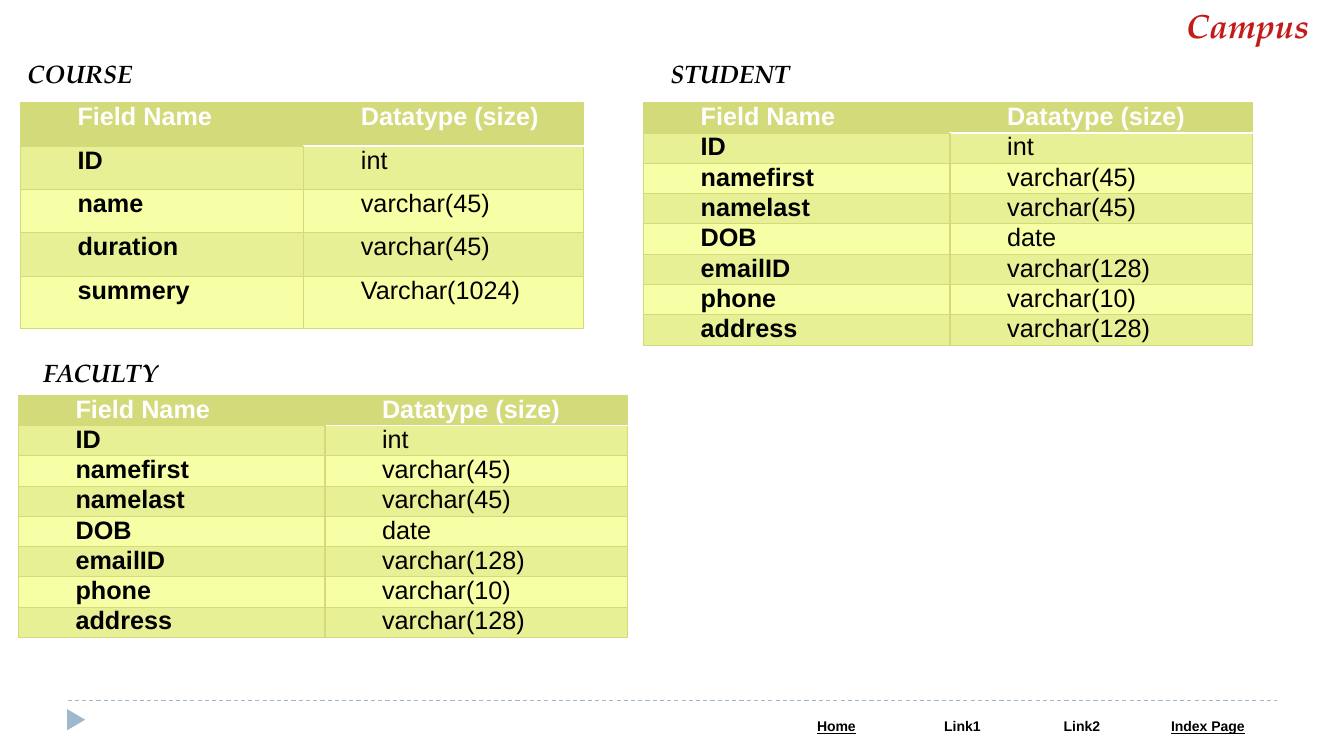
from lxml.etree import SubElement
from pptx import Presentation
from pptx.dml.color import RGBColor
from pptx.enum.dml import MSO_LINE_DASH_STYLE as Dash
from pptx.enum.shapes import MSO_CONNECTOR as Connector, MSO_SHAPE as Shape
from pptx.enum.text import MSO_AUTO_SIZE as AutoSize, PP_ALIGN as Align
from pptx.oxml.ns import qn
from pptx.util import Inches, Pt

OLIVE, SHADED, PALE = "D2DA7A", "E7F094", "F6FFA6"
WHITE, BLACK, RED, BLUE = "FFFFFF", "000000", "C41A1A", "9FB8CD"
SERIF, SANS = "TeX Gyre Pagella", "Arial"
HEADER = ("Field Name", "Datatype (size)")
COURSE = [("ID", "int"), ("name", "varchar(45)"), ("duration", "varchar(45)"),
          ("summery", "Varchar(1024)")]
PERSON = [("ID", "int"), ("namefirst", "varchar(45)"), ("namelast", "varchar(45)"),
          ("DOB", "date"), ("emailID", "varchar(128)"), ("phone", "varchar(10)"),
          ("address", "varchar(128)")]
PERSON_WIDTHS, PERSON_HEIGHTS = (3.04, 3), [0.3] * 8
LINKS = [("Home", 1.25, True), ("Link1", 1.25, False),
         ("Link2", 1.12, False), ("Index Page", 1.38, True)]


def color(value):
    return RGBColor.from_string(value)


def add_run(paragraph, words, size, face, ink, bold=True, italic=False, underline=False):
    run = paragraph.add_run()
    run.text = words
    font = run.font
    font.size, font.name = Pt(size), face
    font.bold, font.italic, font.underline = bold, italic, underline
    font.color.rgb = color(ink)


def add_heading(slide, words, left, top, width, height, size=18, ink=BLACK,
                align=Align.LEFT, wrap=False):
    heading = slide.shapes.add_textbox(Inches(left), Inches(top), Inches(width), Inches(height))
    frame = heading.text_frame
    frame.word_wrap = wrap
    frame.auto_size = AutoSize.SHAPE_TO_FIT_TEXT
    frame.paragraphs[0].alignment = align
    add_run(frame.paragraphs[0], words, size, SERIF, ink, italic=True)


def add_grid(slide, left, top, widths, heights):
    grid = slide.shapes.add_table(
        len(heights), len(widths), Inches(left), Inches(top),
        Inches(sum(widths)), Inches(sum(heights))).table
    for column, width in zip(grid.columns, widths):
        column.width = Inches(width)
    for row, height in zip(grid.rows, heights):
        row.height = Inches(height)
    return grid


def set_margins(cell, side, end):
    cell.margin_left = cell.margin_right = Inches(side)
    cell.margin_top = cell.margin_bottom = Inches(end)


def set_fill(cell, value):
    cell.fill.solid()
    cell.fill.fore_color.rgb = color(value)


def set_borders(cell, **edges):
    properties = cell._tc.get_or_add_tcPr()
    for edge in "LRTB":
        value, points = edges.get(edge, (OLIVE, 0.75))
        line = SubElement(properties, qn(f"a:ln{edge}"), w=str(Pt(points)))
        SubElement(SubElement(line, qn("a:solidFill")), qn("a:srgbClr"), val=value)


def field_borders(row, column):
    edges = {}
    if row:
        edges["L" if column else "R"] = (OLIVE, 1.5)
    if column and row < 2:
        edges["T" if row else "B"] = (WHITE, 1.5)
    return edges


def add_fields(slide, fields, left, top, widths, heights):
    grid = add_grid(slide, left, top, widths, heights)
    for row, entry in enumerate([HEADER, *fields]):
        for column, words in enumerate(entry):
            cell = grid.cell(row, column)
            set_margins(cell, 0.07, 0)
            set_borders(cell, **field_borders(row, column))
            set_fill(cell, OLIVE if row == 0 else SHADED if row % 2 else PALE)
            paragraph = cell.text_frame.paragraphs[0]
            paragraph._p.get_or_add_pPr().set("marL", str(Inches(0.5)))
            add_run(paragraph, words, 18, SANS, BLACK if row else WHITE,
                    bold=row == 0 or column == 0)


def add_navigation(slide):
    grid = add_grid(slide, 7.67, 7.08, [width for _, width, _ in LINKS], [0.27])
    for column, (words, _, underline) in enumerate(LINKS):
        cell = grid.cell(0, column)
        set_margins(cell, 0.13, 0.05)
        set_fill(cell, WHITE)
        paragraph = cell.text_frame.paragraphs[0]
        paragraph.alignment = Align.CENTER
        add_run(paragraph, words, 10, SANS, BLACK, underline=underline)


def add_footer(slide):
    marker = slide.shapes.add_shape(
        Shape.ISOSCELES_TRIANGLE, Inches(0.65), Inches(7.05), Inches(0.21), Inches(0.18))
    marker.rotation = 90
    marker.shadow.inherit = False
    marker.fill.solid()
    marker.fill.fore_color.rgb = color(BLUE)
    marker.line.fill.background()
    rule = slide.shapes.add_connector(
        Connector.STRAIGHT, Inches(0.67), Inches(6.95), Inches(12.67), Inches(6.95))
    rule.line.color.rgb = color(BLUE)
    rule.line.width = Pt(0.75)
    rule.line.dash_style = Dash.DASH
    SubElement(rule._element.spPr, qn("a:effectLst"))


def main():
    deck = Presentation()
    deck.slide_width, deck.slide_height = Inches(13.33), Inches(7.5)
    slide = deck.slides.add_slide(deck.slide_layouts[6])
    add_footer(slide)
    add_navigation(slide)
    add_fields(slide, COURSE, 0.2, 1.02, (2.81, 2.78), [0.43] * 4 + [0.52])
    add_heading(slide, "COURSE", 0.17, 0.53, 1.32, 0.4)
    add_heading(slide, "STUDENT", 6.55, 0.53, 1.46, 0.4)
    add_fields(slide, PERSON, 6.38, 1.02, PERSON_WIDTHS, PERSON_HEIGHTS)
    add_heading(slide, "FACULTY", 0.33, 3.5, 1.39, 0.4)
    add_fields(slide, PERSON, 0.18, 3.92, PERSON_WIDTHS, PERSON_HEIGHTS)
    add_heading(slide, "Campus", 0.26, 0, 12.82, 0.5, 24, RED, Align.RIGHT, wrap=True)
    deck.save("out.pptx")


if __name__ == "__main__":
    main()
